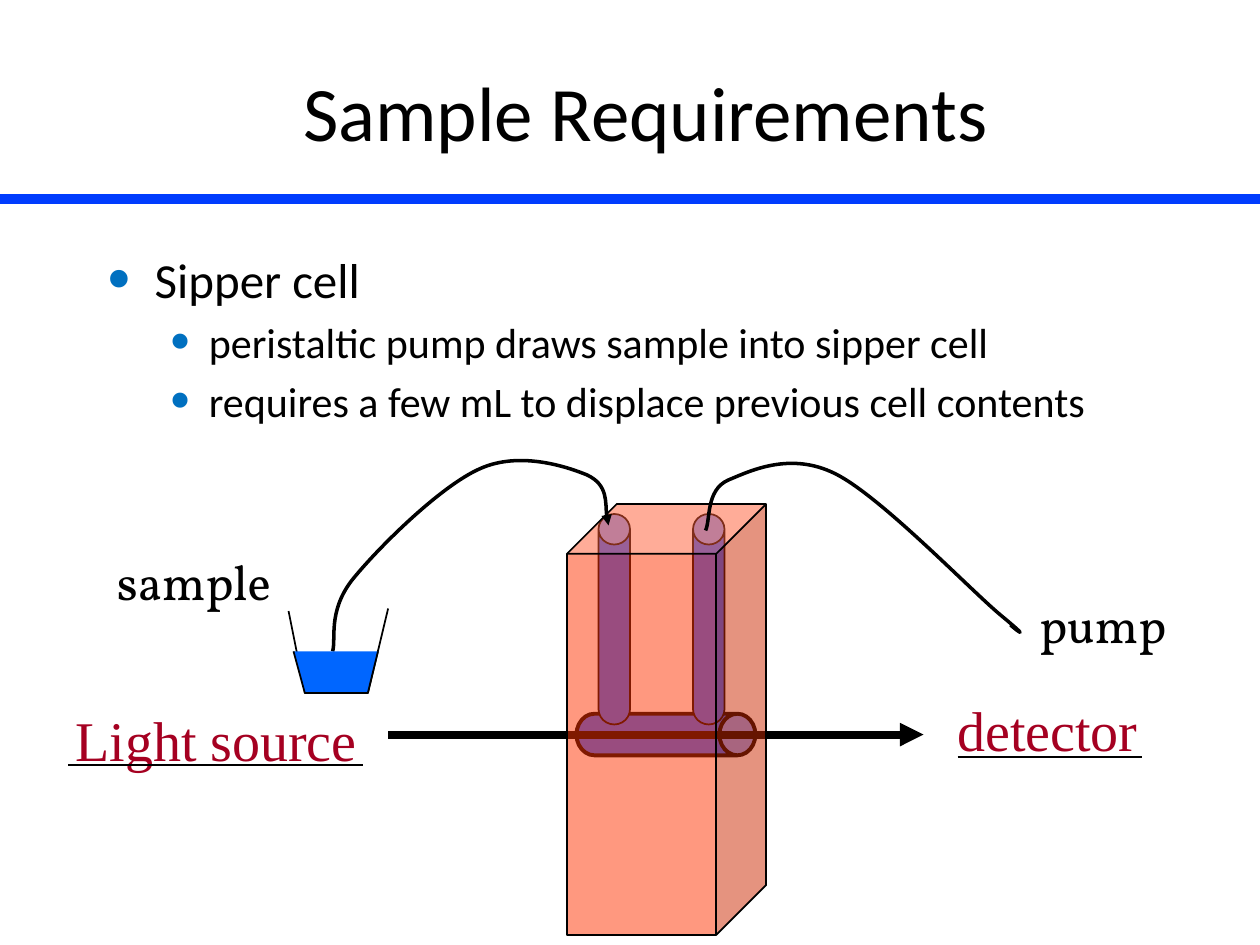
from dataclasses import dataclass
from typing import Any, Optional

import lxml.etree
import pptx
import pptx.dml.color
import pptx.enum.shapes
import pptx.enum.text
import pptx.oxml.ns
import pptx.util

Inches = pptx.util.Inches
Pt = pptx.util.Pt
SHAPE = pptx.enum.shapes.MSO_SHAPE
ALIGN = pptx.enum.text.PP_ALIGN
ANCHOR = pptx.enum.text.MSO_ANCHOR
Point = tuple[float, float]

COLORS = {
    "ink": "000000",
    "rule": "003CFE",
    "channel": "3366FF",
    "cell": "FF3300",
    "water": "0066FF",
    "bullet": "0070C0",
    "label": "A50021",
}


@dataclass
class Solid:
    kind: Any
    box: tuple[float, float, float, float]
    adjustment: float
    fill: str
    width: float
    rotation: float = 0
    opacity: Optional[int] = None


@dataclass
class Segment:
    start: Point
    end: Point
    width: float = 1
    color: str = "ink"
    arrow: bool = False


@dataclass
class Outline:
    points: list[Point]
    width: float
    fill: Optional[str] = None
    curved: bool = False
    arrow: bool = False


@dataclass
class Label:
    text: str
    box: tuple[float, float, float, float]
    font: str
    size: float
    color: str = "ink"
    anchor: Any = ANCHOR.TOP
    align: Any = ALIGN.LEFT
    wrap: bool = False


@dataclass
class Bullet:
    text: str
    size: float
    level: int
    margin: float
    hanging: float


def apply(target: Any, values: dict[str, Any]) -> None:
    for key, value in values.items():
        setattr(target, key, value)


def rgb(name: str) -> pptx.dml.color.RGBColor:
    return pptx.dml.color.RGBColor.from_string(COLORS[name])


def add_xml(parent: Any, tag: str, **attributes: str) -> Any:
    return lxml.etree.SubElement(parent, pptx.oxml.ns.qn(tag), attributes)


def set_line(shape: Any, color: str, width: float, arrow: bool = False) -> None:
    shape.line.color.rgb = rgb(color)
    shape.line.width = Pt(width)
    if arrow:
        line = shape._element.spPr.find(pptx.oxml.ns.qn("a:ln"))
        add_xml(line, "a:tailEnd", type="triangle")


def set_fill(shape: Any, color: Optional[str]) -> None:
    if color is None:
        shape.fill.background()
    else:
        shape.fill.solid()
        shape.fill.fore_color.rgb = rgb(color)


def draw_solid(slide: Any, solid: Solid) -> None:
    shape = slide.shapes.add_shape(solid.kind, *map(Inches, solid.box))
    shape.shadow.inherit = False
    shape.rotation = solid.rotation
    shape.adjustments[0] = solid.adjustment
    set_fill(shape, solid.fill)
    set_line(shape, "ink", solid.width)
    if solid.opacity is not None:
        color = shape._element.spPr.find(pptx.oxml.ns.qn("a:solidFill"))[0]
        add_xml(color, "a:alpha", val=str(solid.opacity * 1000))


def draw_segment(slide: Any, segment: Segment) -> None:
    connector = slide.shapes.add_connector(
        pptx.enum.shapes.MSO_CONNECTOR.STRAIGHT,
        *map(Inches, segment.start + segment.end))
    set_line(connector, segment.color, segment.width, segment.arrow)
    add_xml(connector._element.spPr, "a:effectLst")


def bend(shape: Any) -> None:
    steps = list(shape._element.iter(pptx.oxml.ns.qn("a:lnTo")))
    route = steps[0].getparent()
    for first in range(0, len(steps), 3):
        curve = add_xml(route, "a:cubicBezTo")
        for step in steps[first:first + 3]:
            curve.append(step[0])
            route.remove(step)


def draw_outline(slide: Any, outline: Outline) -> None:
    start, *rest = [(Inches(x), Inches(y)) for x, y in outline.points]
    builder = slide.shapes.build_freeform(*start)
    builder.add_line_segments(rest, close=False)
    shape = builder.convert_to_shape()
    shape.shadow.inherit = False
    set_fill(shape, outline.fill)
    set_line(shape, "ink", outline.width, outline.arrow)
    if outline.curved:
        bend(shape)


def add_run(paragraph: Any, text: str, font: str, size: float, color: str) -> None:
    run = paragraph.add_run()
    run.text = text
    apply(run.font, {"name": font, "size": Pt(size)})
    run.font.color.rgb = rgb(color)


def draw_label(slide: Any, label: Label) -> None:
    frame = slide.shapes.add_textbox(*map(Inches, label.box)).text_frame
    apply(frame, {"word_wrap": label.wrap, "vertical_anchor": label.anchor})
    paragraph = frame.paragraphs[0]
    paragraph.alignment = label.align
    add_run(paragraph, label.text, label.font, label.size, label.color)


def draw_bullets(slide: Any, bullets: list[Bullet]) -> None:
    frame = slide.shapes.add_textbox(*map(Inches, (0.75, 1.93, 8.5, 4.5))).text_frame
    frame.word_wrap = True
    for index, bullet in enumerate(bullets):
        paragraph = frame.add_paragraph() if index else frame.paragraphs[0]
        apply(paragraph, {"level": bullet.level, "space_before": Pt(bullet.size * 0.2)})
        add_run(paragraph, bullet.text, "Calibri", bullet.size, "ink")
        properties = paragraph._p.get_or_add_pPr()
        properties.set("marL", str(Inches(bullet.margin)))
        properties.set("indent", str(-Inches(bullet.hanging)))
        add_xml(add_xml(properties, "a:buClr"), "a:srgbClr", val=COLORS["bullet"])
        add_xml(properties, "a:buSzPct", val="150000")
        add_xml(properties, "a:buFont", typeface="Times New Roman")
        add_xml(properties, "a:buChar", char="•")


def main() -> None:
    deck = pptx.Presentation()
    apply(deck, {"slide_width": Inches(10), "slide_height": Inches(7.5)})
    slide = deck.slides.add_slide(deck.slide_layouts[6])

    draw_segment(slide, Segment((0, 1.58), (10, 1.58), 6, "rule"))
    draw_solid(slide, Solid(SHAPE.CAN, (5.12, 5.12, 0.33, 1.42), 0.865, "channel", 2.25, 90))
    for left in (5.5, 4.75):
        draw_solid(slide, Solid(SHAPE.CAN, (left, 4.08, 0.25, 1.67), 0.97, "channel", 1))

    draw_label(slide, Label("Sample Requirements", (0.5, 0.25, 9.25, 1.25), "Calibri", 44,
                            anchor=ANCHOR.MIDDLE, align=ALIGN.CENTER, wrap=True))
    draw_bullets(slide, [
        Bullet("Sipper cell", 28, 0, 0.38, 0.38),
        Bullet("peristaltic pump draws sample into sipper cell", 24, 1, 0.81, 0.31),
        Bullet("requires a few mL to displace previous cell contents", 24, 1, 0.81, 0.31),
    ])

    draw_segment(slide, Segment((3.08, 5.83), (7.33, 5.83), 4.5, arrow=True))
    draw_solid(slide, Solid(SHAPE.CUBE, (4.5, 4, 1.58, 3.42), 0.25, "cell", 1, opacity=50))

    inlet_tube = [(2.64, 5.17), (2.67, 5.08), (2.6, 4.86), (2.79, 4.61), (2.98, 4.37),
                  (3.49, 3.86), (3.81, 3.72), (4.12, 3.58), (4.49, 3.7), (4.66, 3.77),
                  (4.83, 3.85), (4.8, 4.09), (4.83, 4.17)]
    outlet_tube = [(8.02, 4.96), (8.1, 5.03), (8.17, 5.07), (7.94, 4.88), (7.7, 4.68),
                   (6.99, 3.94), (6.63, 3.76), (6.27, 3.58), (5.95, 3.74), (5.78, 3.81),
                   (5.6, 3.89), (5.64, 4.13), (5.6, 4.21)]
    draw_outline(slide, Outline(inlet_tube, 2, curved=True, arrow=True))
    draw_outline(slide, Outline(outlet_tube, 2, curved=True))

    for label in (
        Label("Light source", (0.5, 5.55, 2.44, 0.63), "Times New Roman", 32, "label", ANCHOR.MIDDLE),
        Label("detector", (7.5, 5.47, 1.63, 0.63), "Times New Roman", 32, "label", ANCHOR.MIDDLE),
        Label("pump", (8.15, 4.67, 1.25, 0.57), "Vollkorn", 28),
        Label("sample", (0.83, 4.33, 1.44, 0.57), "Vollkorn", 28),
    ):
        draw_label(slide, label)

    beaker_base = [(2.42, 5.5), (2.92, 5.5)]
    draw_outline(slide, Outline([(2.29, 4.85), *beaker_base, (3.08, 4.83)], 1))
    draw_outline(slide, Outline([(2.33, 5.17), *beaker_base, (3, 5.17)], 1, "water"))
    for underline in (Segment((0.54, 6.07), (2.88, 6.07)), Segment((7.6, 6.01), (9.06, 6.01))):
        draw_segment(slide, underline)

    deck.save("out.pptx")


if __name__ == "__main__":
    main()
